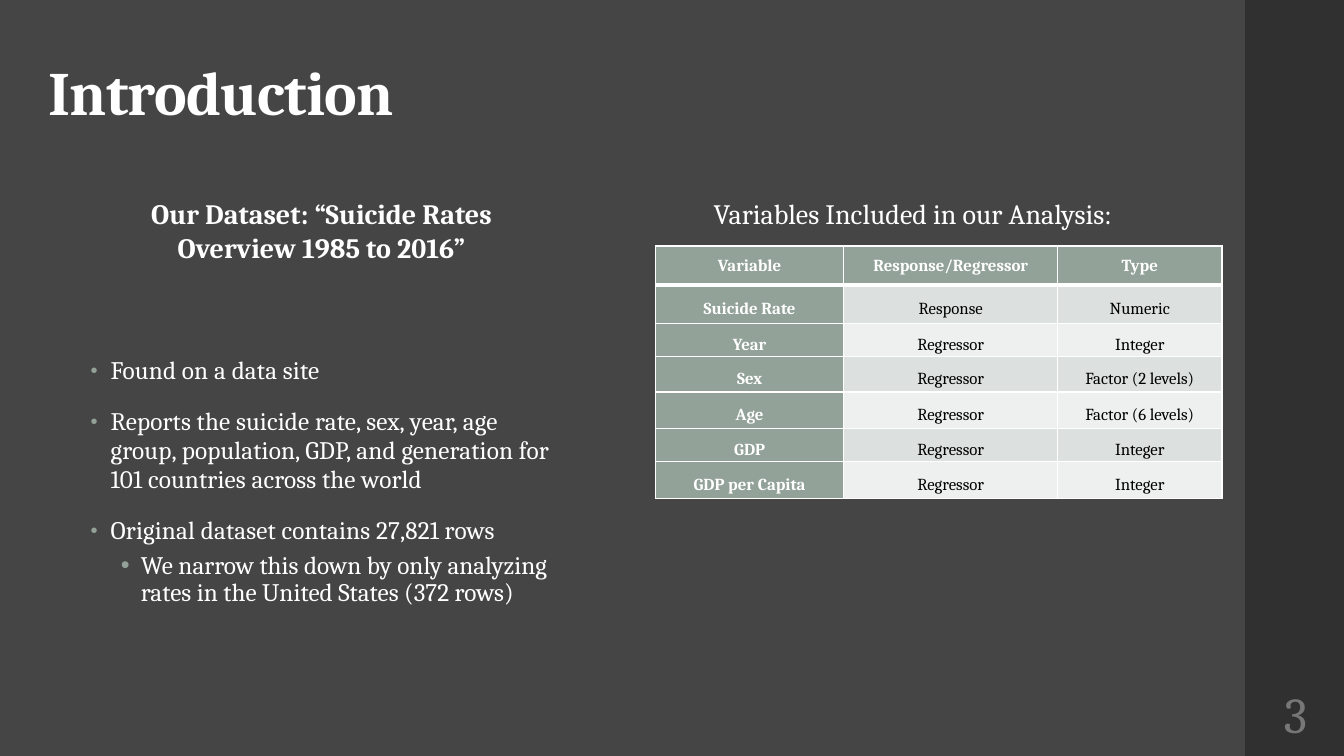
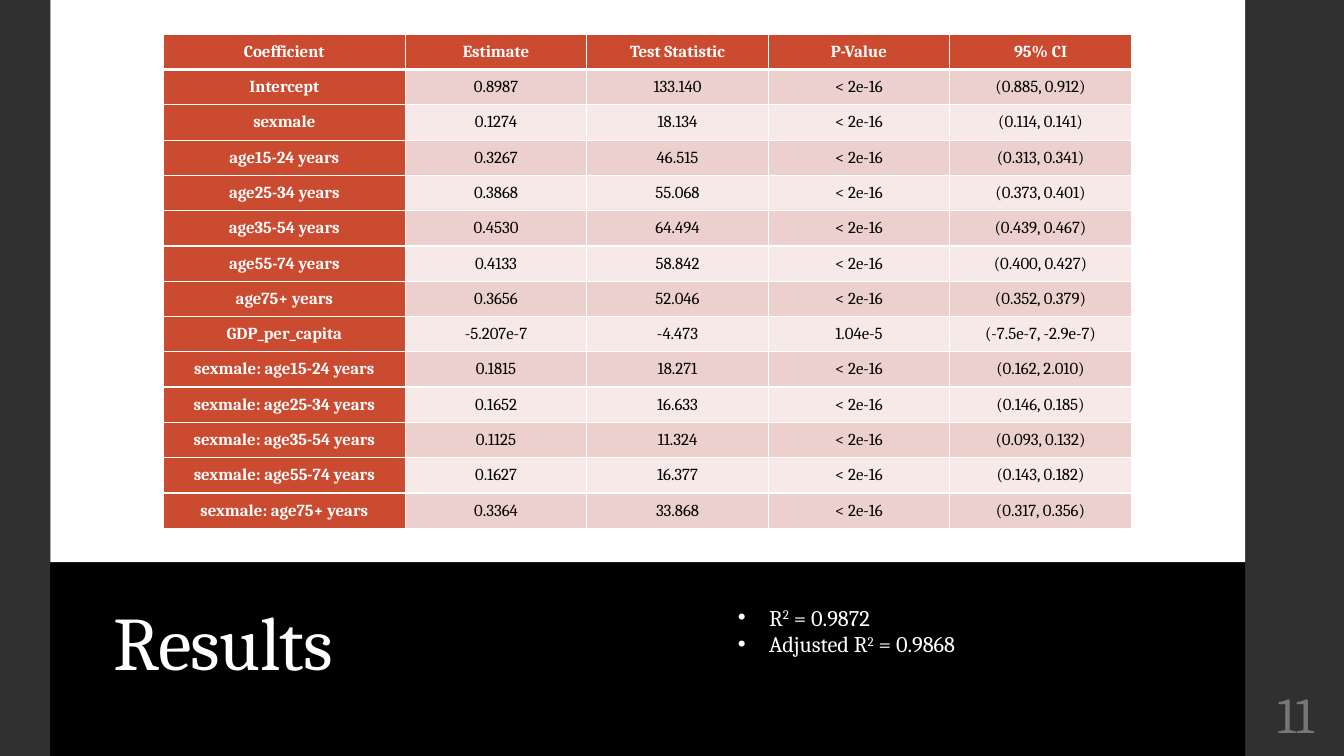
"""Build the introduction and results slides of a suicide rate analysis."""
import pptx
import pptx.dml.color
import pptx.enum.shapes
import pptx.enum.text
import pptx.oxml.ns
import pptx.util
from lxml import etree

Inches = pptx.util.Inches
Pt = pptx.util.Pt
RGBColor = pptx.dml.color.RGBColor
ALIGN = pptx.enum.text.PP_ALIGN
ANCHOR = pptx.enum.text.MSO_ANCHOR

FONT = "Cambria"
WHITE = RGBColor(0xFF, 0xFF, 0xFF)
BLACK = RGBColor(0x00, 0x00, 0x00)
CHARCOAL = RGBColor(0x45, 0x45, 0x45)
BAND = RGBColor(0x30, 0x30, 0x30)
NUMBER_GRAY = RGBColor(0x77, 0x77, 0x77)
SAGE = RGBColor(0x93, 0xA2, 0x99)
SAGE_TINTS = (RGBColor(0xDC, 0xE0, 0xDE), RGBColor(0xEE, 0xF0, 0xEF))
RUST = RGBColor(0xCB, 0x4B, 0x30)
RUST_TINTS = (RGBColor(0xEC, 0xD0, 0xCD), RGBColor(0xF6, 0xE9, 0xE8))

SLIDE_WIDTH, SLIDE_HEIGHT = 13.33, 7.5
BAND_LEFT, BAND_WIDTH = 12.35, 1
EDGE_WIDTH = 0.5
PANEL_SPLIT = 5.58

DATASET_HEADING = "Our Dataset: “Suicide Rates Overview 1985 to 2016”"
VARIABLES_HEADING = "Variables Included in our Analysis:"
DATASET_POINTS = [
    (0, "Found on a data site"),
    (0, "Reports the suicide rate, sex, year, age group, population, GDP, "
        "and generation for 101 countries across the world"),
    (0, "Original dataset contains 27,821 rows"),
    (1, "We narrow this down by only analyzing rates in the United States (372 rows)"),
]
POINT_STYLES = [
    dict(indent=0.2, line=0.95, before=14, after=2, tracking=0.1, bullet_size=80),
    dict(indent=0.5, line=0.9, before=3, after=3, tracking=0, bullet_size=100),
]
VARIABLES = [
    ("Variable", "Response/Regressor", "Type"),
    ("Suicide Rate", "Response", "Numeric"),
    ("Year", "Regressor", "Integer"),
    ("Sex", "Regressor", "Factor (2 levels)"),
    ("Age", "Regressor", "Factor (6 levels)"),
    ("GDP", "Regressor", "Integer"),
    ("GDP per Capita", "Regressor", "Integer"),
]
VARIABLE_WIDTHS = [1.87, 2.12, 1.63]
VARIABLE_HEIGHTS = [0.39, 0.38, 0.33, 0.35, 0.36, 0.33, 0.37]

COEFFICIENTS = [
    ("Coefficient", "Estimate", "Test Statistic", "P-Value", "95% CI"),
    ("Intercept", "0.8987", "133.140", "< 2e-16", "(0.885, 0.912)"),
    ("sexmale", "0.1274", "18.134", "< 2e-16", "(0.114, 0.141)"),
    ("age15-24 years", "0.3267", "46.515", "< 2e-16", "(0.313, 0.341)"),
    ("age25-34 years", "0.3868", "55.068", "< 2e-16", "(0.373, 0.401)"),
    ("age35-54 years", "0.4530", "64.494", "< 2e-16", "(0.439, 0.467)"),
    ("age55-74 years", "0.4133", "58.842", "< 2e-16", "(0.400, 0.427)"),
    ("age75+ years", "0.3656", "52.046", "< 2e-16", "(0.352, 0.379)"),
    ("GDP_per_capita", "-5.207e-7", "-4.473", "1.04e-5", "(-7.5e-7, -2.9e-7)"),
    ("sexmale: age15-24 years", "0.1815", "18.271", "< 2e-16", "(0.162, 2.010)"),
    ("sexmale: age25-34 years", "0.1652", "16.633", "< 2e-16", "(0.146, 0.185)"),
    ("sexmale: age35-54 years", "0.1125", "11.324", "< 2e-16", "(0.093, 0.132)"),
    ("sexmale: age55-74 years", "0.1627", "16.377", "< 2e-16", "(0.143, 0.182)"),
    ("sexmale: age75+ years", "0.3364", "33.868", "< 2e-16", "(0.317, 0.356)"),
]
COEFFICIENT_WIDTHS = [2.4] + [1.8] * 4
COEFFICIENT_HEIGHTS = [0.35] * len(COEFFICIENTS)
FIT_MEASURES = [("R", "0.9872"), ("Adjusted R", "0.9868")]


def add_child(parent, tag, **attributes):
    child = etree.SubElement(parent, pptx.oxml.ns.qn(tag))
    for key, value in attributes.items():
        child.set(key, str(value))
    return child


def add_run(paragraph, text, size, color=WHITE, bold=False, tracking=0, raised=False):
    run = paragraph.add_run()
    run.text = text
    run.font.name = FONT
    run.font.size = Pt(size)
    run.font.bold = bold
    run.font.color.rgb = color
    properties = run.font._element
    if tracking:
        properties.set("spc", str(round(tracking * 100)))
    if raised:
        properties.set("baseline", "30000")


def add_bullet(paragraph, indent, hanging, color=WHITE, size=100):
    properties = paragraph._p.get_or_add_pPr()
    properties.set("marL", str(Inches(indent)))
    properties.set("indent", str(-Inches(hanging)))
    add_child(add_child(properties, "a:buClr"), "a:srgbClr", val=color)
    add_child(properties, "a:buSzPct", val=size * 1000)
    add_child(properties, "a:buFont", typeface="Arial")
    add_child(properties, "a:buChar", char="•")


def add_frame(slide, left, top, width, height, anchor=ANCHOR.TOP):
    box = slide.shapes.add_textbox(*map(Inches, (left, top, width, height)))
    frame = box.text_frame
    frame.word_wrap = True
    frame.vertical_anchor = anchor
    return frame


def add_panel(slide, left, top, width, height, color):
    panel = slide.shapes.add_shape(
        pptx.enum.shapes.MSO_SHAPE.RECTANGLE, *map(Inches, (left, top, width, height)))
    panel.shadow.inherit = False
    panel.fill.solid()
    panel.fill.fore_color.rgb = color
    panel.line.fill.background()


def start_slide(deck, background, number):
    slide = deck.slides.add_slide(deck.slide_layouts[6])
    slide.background.fill.solid()
    slide.background.fill.fore_color.rgb = background
    add_panel(slide, BAND_LEFT, 0, BAND_WIDTH, SLIDE_HEIGHT, BAND)
    frame = add_frame(slide, BAND_LEFT, 6.75, BAND_WIDTH, 0.65, ANCHOR.MIDDLE)
    frame.margin_left = frame.margin_right = Inches(0.05)
    frame.margin_top = frame.margin_bottom = Inches(0.05)
    frame.paragraphs[0].alignment = ALIGN.CENTER
    add_run(frame.paragraphs[0], str(number), 36, NUMBER_GRAY)
    return slide


def add_title(slide, text, place, size, anchor, line, bold=False):
    paragraph = add_frame(slide, *place, anchor).paragraphs[0]
    paragraph.line_spacing = line
    add_run(paragraph, text, size, bold=bold, tracking=-0.5)


def add_heading(slide, text, place, bold=False, alignment=ALIGN.LEFT):
    paragraph = add_frame(slide, *place).paragraphs[0]
    paragraph.alignment = alignment
    add_run(paragraph, text, 20, bold=bold)


def add_borders(cell, row):
    properties = cell._tc.get_or_add_tcPr()
    weights = {"L": 1, "R": 1, "T": 3 if row == 1 else 1, "B": 3 if row == 0 else 1}
    for side, weight in weights.items():
        border = add_child(properties, "a:ln" + side, w=Pt(weight))
        add_child(add_child(border, "a:solidFill"), "a:srgbClr", val=WHITE)


def add_grid(slide, left, top, rows, widths, heights, accent, tints, margin, line=1):
    frame = slide.shapes.add_table(
        len(rows), len(widths), Inches(left), Inches(top),
        Inches(sum(widths)), Inches(sum(heights)))
    grid = frame.table
    for column, width in zip(grid.columns, widths):
        column.width = Inches(width)
    for r, (values, height) in enumerate(zip(rows, heights)):
        grid.rows[r].height = Inches(height)
        for c, value in enumerate(values):
            is_header = r == 0 or c == 0
            cell = grid.cell(r, c)
            cell.margin_left = cell.margin_right = Inches(margin)
            cell.margin_top = cell.margin_bottom = 0
            cell.vertical_anchor = ANCHOR.MIDDLE
            add_borders(cell, r)
            cell.fill.solid()
            cell.fill.fore_color.rgb = accent if is_header else tints[(r - 1) % 2]
            paragraph = cell.text_frame.paragraphs[0]
            paragraph.alignment = ALIGN.CENTER
            if r:
                paragraph.line_spacing = line
            add_run(paragraph, value, 12, WHITE if is_header else BLACK, is_header)


def next_paragraph(frame, index):
    return frame.add_paragraph() if index else frame.paragraphs[0]


def build_introduction(deck):
    slide = start_slide(deck, CHARCOAL, 3)
    add_title(slide, "Introduction", (0.38, 0.14, 4.83, 1.62), 44, ANCHOR.MIDDLE, 0.9, True)
    points = add_frame(slide, 0.8, 2.81, 4.93, 3.94, ANCHOR.MIDDLE)
    for index, (level, text) in enumerate(DATASET_POINTS):
        style = POINT_STYLES[level]
        paragraph = next_paragraph(points, index)
        paragraph.level = level
        add_bullet(paragraph, style["indent"], 0.2, SAGE, style["bullet_size"])
        paragraph.line_spacing = style["line"]
        paragraph.space_before = Pt(style["before"] if index else 0)
        paragraph.space_after = Pt(style["after"])
        add_run(paragraph, text, 18, tracking=style["tracking"])
    add_grid(slide, 6.5, 2.44, VARIABLES, VARIABLE_WIDTHS, VARIABLE_HEIGHTS,
             SAGE, SAGE_TINTS, 0.07, 1.5)
    add_heading(slide, VARIABLES_HEADING, (6.98, 1.9, 4.93, 0.44))
    add_heading(slide, DATASET_HEADING, (0.93, 1.9, 4.52, 1.08), True, ALIGN.CENTER)


def build_results(deck):
    slide = start_slide(deck, BLACK, 11)
    panel_width = BAND_LEFT - EDGE_WIDTH
    add_panel(slide, 0, 0, EDGE_WIDTH, SLIDE_HEIGHT, BAND)
    add_panel(slide, EDGE_WIDTH, 0, panel_width, PANEL_SPLIT, WHITE)
    add_panel(slide, EDGE_WIDTH, PANEL_SPLIT, panel_width, SLIDE_HEIGHT - PANEL_SPLIT, BLACK)
    add_title(slide, "Results", (1.03, 5.67, 11.11, 1.18), 54, ANCHOR.BOTTOM, 0.85)
    add_grid(slide, 1.62, 0.34, COEFFICIENTS, COEFFICIENT_WIDTHS, COEFFICIENT_HEIGHTS,
             RUST, RUST_TINTS, 0.06)
    measures = add_frame(slide, 7.22, 5.94, 4, 0.64)
    for index, (measure, value) in enumerate(FIT_MEASURES):
        paragraph = next_paragraph(measures, index)
        add_bullet(paragraph, 0.31, 0.31)
        add_run(paragraph, measure, 16)
        add_run(paragraph, "2", 16, raised=True)
        add_run(paragraph, f" = {value}", 16)


def main():
    deck = pptx.Presentation()
    deck.slide_width = Inches(SLIDE_WIDTH)
    deck.slide_height = Inches(SLIDE_HEIGHT)
    build_introduction(deck)
    build_results(deck)
    deck.save("out.pptx")


if __name__ == "__main__":
    main()
